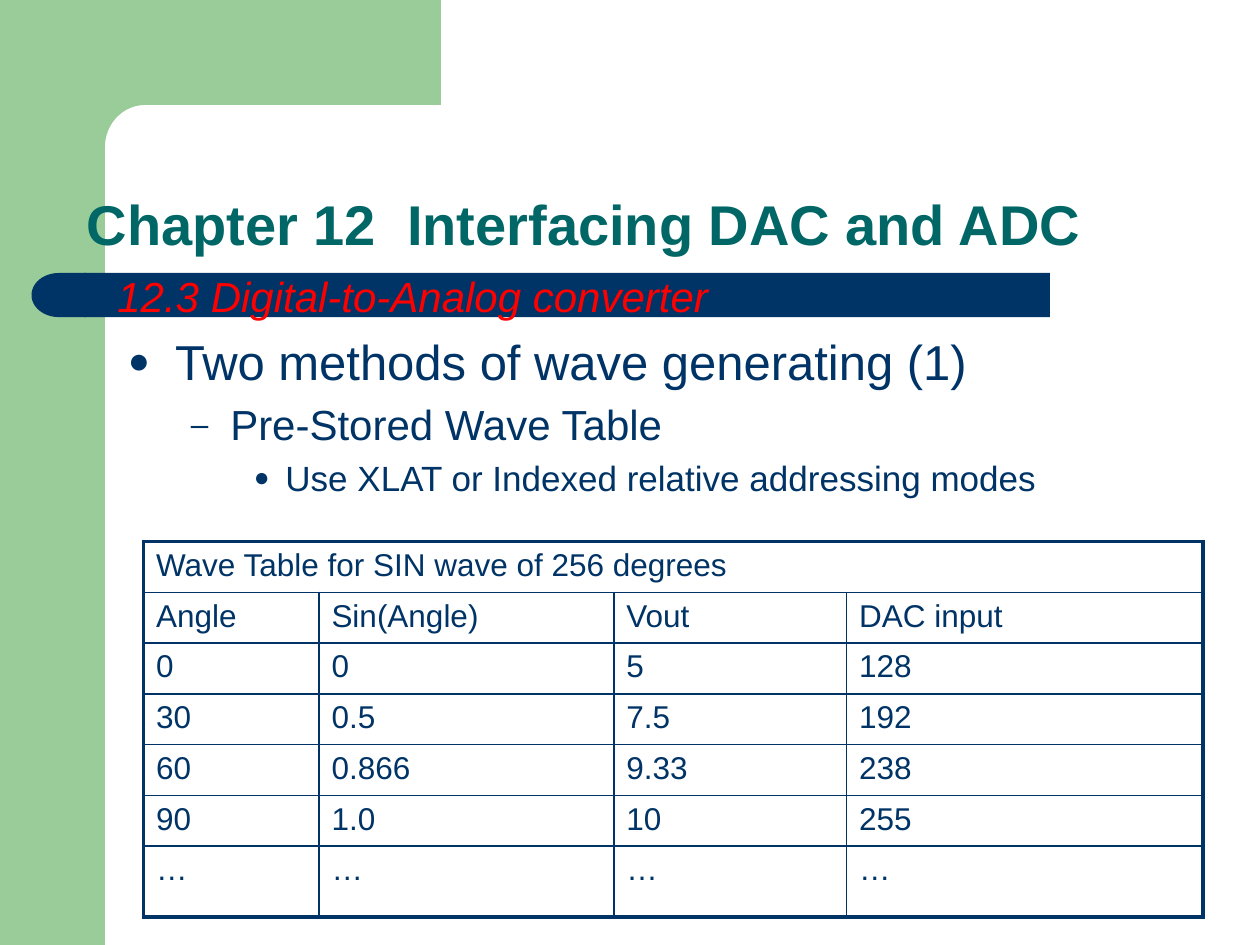
"""Build the slide on wave tables for digital-to-analog conversion."""
from math import cos, pi, sin

from lxml.etree import SubElement
from pptx import Presentation
from pptx.dml.color import RGBColor
from pptx.enum.shapes import MSO_SHAPE
from pptx.enum.text import MSO_ANCHOR
from pptx.oxml.ns import qn
from pptx.util import Pt

GREEN = RGBColor(0x99, 0xCC, 0x99)
NAVY = RGBColor(0x00, 0x33, 0x66)
TEAL = RGBColor(0x00, 0x66, 0x66)
RED = RGBColor(0xFF, 0x00, 0x00)
FONT = "Arial"

TITLE = "Chapter 12  Interfacing DAC and ADC"
SECTION = "12.3 Digital-to-Analog converter"
OUTLINE = [
    ("Two methods of wave generating (1)", 28, "●", 27, 27),
    ("Pre-Stored Wave Table", 24, "–", 58.5, 22.5),
    ("Use XLAT or Indexed relative addressing modes", 20, "●", 90, 18),
]
WAVE_TABLE = [
    ("Wave Table for SIN wave of 256 degrees", "", "", ""),
    ("Angle", "Sin(Angle)", "Vout", "DAC input"),
    ("0", "0", "5", "128"),
    ("30", "0.5", "7.5", "192"),
    ("60", "0.866", "9.33", "238"),
    ("90", "1.0", "10", "255"),
    ("…", "…", "…", "…"),
]
COLUMN_WIDTHS = [100.25, 168.5, 133, 203.75]
ROW_HEIGHTS = [29] * 6 + [40.5]
PANELS = [
    (MSO_SHAPE.RECTANGLE, (0, 0, 60, 540), GREEN, 0),
    (MSO_SHAPE.RECTANGLE, (48, 156, 552, 25.2), NAVY, 0),
    (MSO_SHAPE.FLOWCHART_DELAY, (18, 156, 31, 25.2), NAVY, 180),
]


def paint(shape, color):
    shape.shadow.inherit = False
    shape.fill.solid()
    shape.fill.fore_color.rgb = color
    shape.line.fill.background()


def style(para, size, color, bold=False, italic=False):
    for span in para.runs:
        font = span.font
        font.name, font.size, font.bold, font.italic = FONT, Pt(size), bold, italic
        font.color.rgb = color


def add_text(slide, place, text=""):
    box = slide.shapes.add_textbox(*map(Pt, place))
    box.text_frame.word_wrap = True
    box.text_frame.text = text
    return box.text_frame


def add_corner(slide):
    center_x, center_y, radius_x, radius_y = 83, 84, 23, 24
    steps = 16
    arc = [(center_x - radius_x * sin(pi / 2 * step / steps),
            center_y - radius_y * cos(pi / 2 * step / steps))
           for step in range(steps + 1)]
    points = [(252, 60), *arc, (60, 92), (36, 92), (36, 0)]
    builder = slide.shapes.build_freeform(Pt(252), Pt(0))
    builder.add_line_segments([(Pt(x), Pt(y)) for x, y in points], close=True)
    paint(builder.convert_to_shape(), GREEN)


def set_bullet(para, symbol, margin, hanging):
    properties = para._p.get_or_add_pPr()
    properties.set("marL", str(Pt(margin)))
    properties.set("indent", str(-Pt(hanging)))
    spacing = SubElement(properties, qn("a:spcBef"))
    SubElement(spacing, qn("a:spcPct"), val="20000")
    color = SubElement(properties, qn("a:buClr"))
    SubElement(color, qn("a:srgbClr"), val=str(NAVY))
    SubElement(properties, qn("a:buSzPct"), val="75000")
    SubElement(properties, qn("a:buFont"), typeface=FONT)
    SubElement(properties, qn("a:buChar"), char=symbol)


def add_outline(slide):
    frame = add_text(slide, (66, 186, 605.5, 112.5))
    for index, (text, size, symbol, margin, hanging) in enumerate(OUTLINE):
        para = frame.add_paragraph() if index else frame.paragraphs[0]
        para.text = text
        para.level = index
        style(para, size, NAVY)
        set_bullet(para, symbol, margin, hanging)


def set_borders(cell, outer_sides):
    properties = cell._tc.get_or_add_tcPr()
    for position, side in enumerate(("lnL", "lnR", "lnT", "lnB")):
        width = 2.25 if side in outer_sides else 1
        line = properties.makeelement(qn(f"a:{side}"), {"w": str(Pt(width))})
        fill = SubElement(line, qn("a:solidFill"))
        SubElement(fill, qn("a:srgbClr"), val=str(NAVY))
        properties.insert(position, line)


def add_wave_table(slide):
    rows, columns = len(ROW_HEIGHTS), len(COLUMN_WIDTHS)
    place = (82, 309.5, sum(COLUMN_WIDTHS), sum(ROW_HEIGHTS))
    table = slide.shapes.add_table(rows, columns, *map(Pt, place)).table
    for column, width in zip(table.columns, COLUMN_WIDTHS):
        column.width = Pt(width)
    for row, height in zip(table.rows, ROW_HEIGHTS):
        row.height = Pt(height)
    table.cell(0, 0).merge(table.cell(0, columns - 1))
    for i, texts in enumerate(WAVE_TABLE):
        for j, text in enumerate(texts):
            cell = table.cell(i, j)
            cell.fill.background()
            cell.text = text
            style(cell.text_frame.paragraphs[0], 18, NAVY)
            edges = {"lnL": j == 0 or i == 0, "lnR": j == columns - 1 or i == 0,
                     "lnT": i == 0, "lnB": i == rows - 1}
            set_borders(cell, [side for side, outer in edges.items() if outer])


def main():
    deck = Presentation()
    deck.slide_width, deck.slide_height = Pt(720), Pt(540)
    slide = deck.slides.add_slide(deck.slide_layouts[6])
    for kind, place, color, rotation in PANELS:
        panel = slide.shapes.add_shape(kind, *map(Pt, place))
        panel.rotation = rotation
        paint(panel, color)
    add_corner(slide)
    add_outline(slide)
    add_wave_table(slide)
    title = add_text(slide, (42.5, 88.5, 658, 62.5), TITLE)
    title.vertical_anchor = MSO_ANCHOR.BOTTOM
    title.paragraphs[0].line_spacing = 0.9
    style(title.paragraphs[0], 32, TEAL, bold=True)
    section = add_text(slide, (60, 151.2, 533, 36.5), SECTION)
    style(section.paragraphs[0], 24, RED, italic=True)
    deck.save("out.pptx")


if __name__ == "__main__":
    main()
